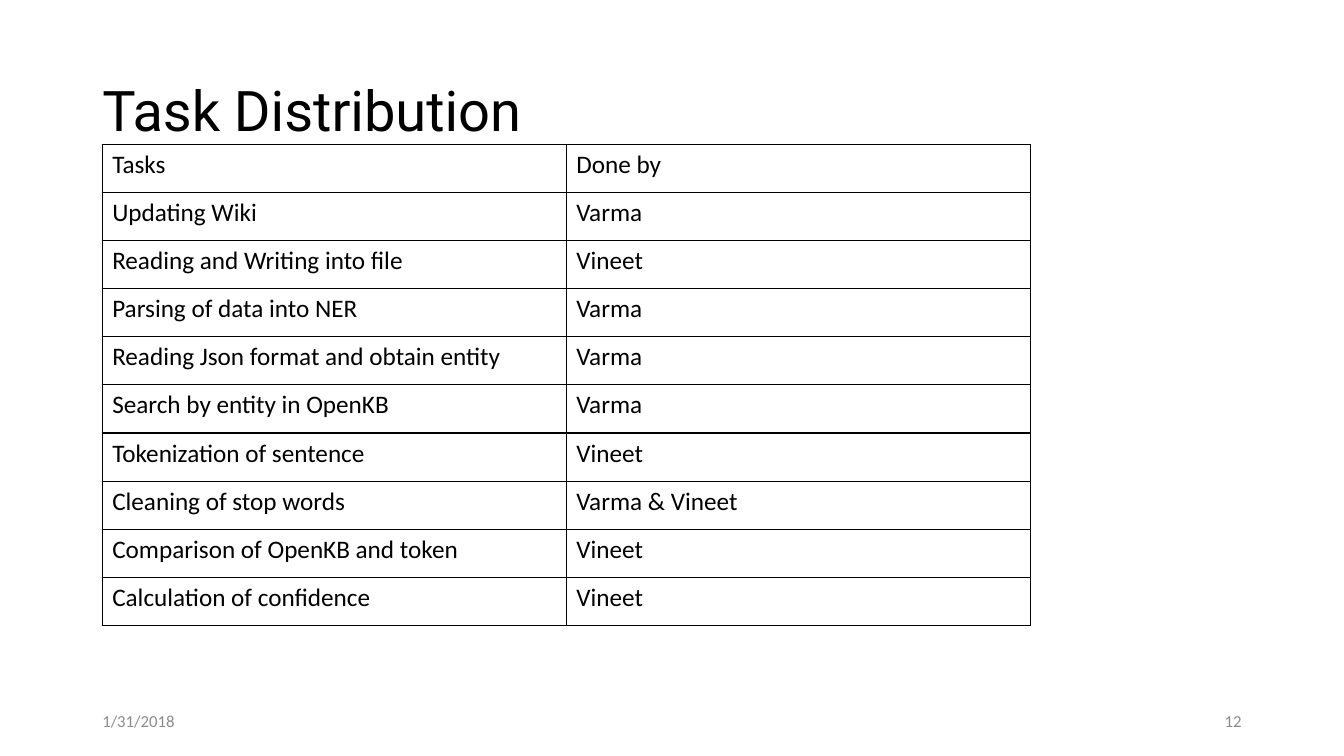
from dataclasses import dataclass

from lxml import etree
from pptx import Presentation
from pptx.dml.color import RGBColor
from pptx.enum import text
from pptx.oxml import ns
from pptx.util import Pt

COLORS = {"background": "FFFFFF", "ink": "000000", "footer": "8C8C8C"}

TABLE_LEFT, TABLE_TOP = 73, 103
COLUMN_WIDTH, ROW_HEIGHT = 331.5, 34.4
BORDER_WIDTH = 1


@dataclass(frozen=True)
class Label:
    content: str
    left: float
    top: float
    width: float
    height: float
    size: float
    color: str
    font: str = "Calibri"
    align: text.PP_ALIGN = text.PP_ALIGN.LEFT
    line_spacing: float = 1.0


@dataclass(frozen=True)
class Task:
    name: str
    done_by: str


LABELS = [
    Label("Task Distribution", 66, 28.8, 828, 104.4, 40, "ink",
          font="Roboto", line_spacing=0.9),
    Label("12", 678, 500.5, 216, 28.75, 12, "footer", align=text.PP_ALIGN.RIGHT),
    Label("1/31/2018", 66, 500.5, 216, 28.75, 12, "footer"),
]

TASKS = [
    Task("Tasks", "Done by"),
    Task("Updating Wiki", "Varma"),
    Task("Reading and Writing into file", "Vineet"),
    Task("Parsing of data into NER", "Varma"),
    Task("Reading Json format and obtain entity", "Varma"),
    Task("Search by entity in OpenKB", "Varma"),
    Task("Tokenization of sentence", "Vineet"),
    Task("Cleaning of stop words", "Varma & Vineet"),
    Task("Comparison of OpenKB and token", "Vineet"),
    Task("Calculation of confidence", "Vineet"),
]


def write_text(frame, content: str, *, size: float, color: str,
               font: str = "Calibri", align=text.PP_ALIGN.LEFT,
               line_spacing: float = 1.0) -> None:
    paragraph = frame.paragraphs[0]
    paragraph.alignment = align
    paragraph.line_spacing = line_spacing
    run = paragraph.add_run()
    run.text = content
    run.font.name = font
    run.font.size = Pt(size)
    run.font.color.rgb = RGBColor.from_string(COLORS[color])


def add_label(slide, label: Label) -> None:
    shape = slide.shapes.add_textbox(
        Pt(label.left), Pt(label.top), Pt(label.width), Pt(label.height))
    frame = shape.text_frame
    frame.word_wrap = True
    frame.vertical_anchor = text.MSO_ANCHOR.MIDDLE
    write_text(frame, label.content, size=label.size, color=label.color,
               font=label.font, align=label.align, line_spacing=label.line_spacing)


def add_borders(cell) -> None:
    """Outline all four sides; borders must precede the fill in the XML."""
    properties = cell._tc.get_or_add_tcPr()
    for position, side in enumerate(("lnL", "lnR", "lnT", "lnB")):
        line = etree.Element(ns.qn(f"a:{side}"), w=str(Pt(BORDER_WIDTH)))
        fill = etree.SubElement(line, ns.qn("a:solidFill"))
        etree.SubElement(fill, ns.qn("a:srgbClr"), val=COLORS["ink"])
        properties.insert(position, line)


def add_task_table(slide, tasks: list[Task]) -> None:
    table = slide.shapes.add_table(
        len(tasks), 2, Pt(TABLE_LEFT), Pt(TABLE_TOP),
        Pt(2 * COLUMN_WIDTH), Pt(len(tasks) * ROW_HEIGHT)).table
    table.first_row = False
    table.horz_banding = False
    for column in table.columns:
        column.width = Pt(COLUMN_WIDTH)
    for row, task in zip(table.rows, tasks):
        row.height = Pt(ROW_HEIGHT)
        for cell, content in zip(row.cells, (task.name, task.done_by)):
            cell.fill.background()
            add_borders(cell)
            write_text(cell.text_frame, content, size=18, color="ink")


def main() -> None:
    presentation = Presentation()
    presentation.slide_width, presentation.slide_height = Pt(960), Pt(540)
    slide = presentation.slides.add_slide(presentation.slide_layouts[6])
    slide.background.fill.solid()
    slide.background.fill.fore_color.rgb = RGBColor.from_string(COLORS["background"])
    for label in LABELS:
        add_label(slide, label)
    add_task_table(slide, TASKS)
    presentation.save("out.pptx")


if __name__ == "__main__":
    main()
